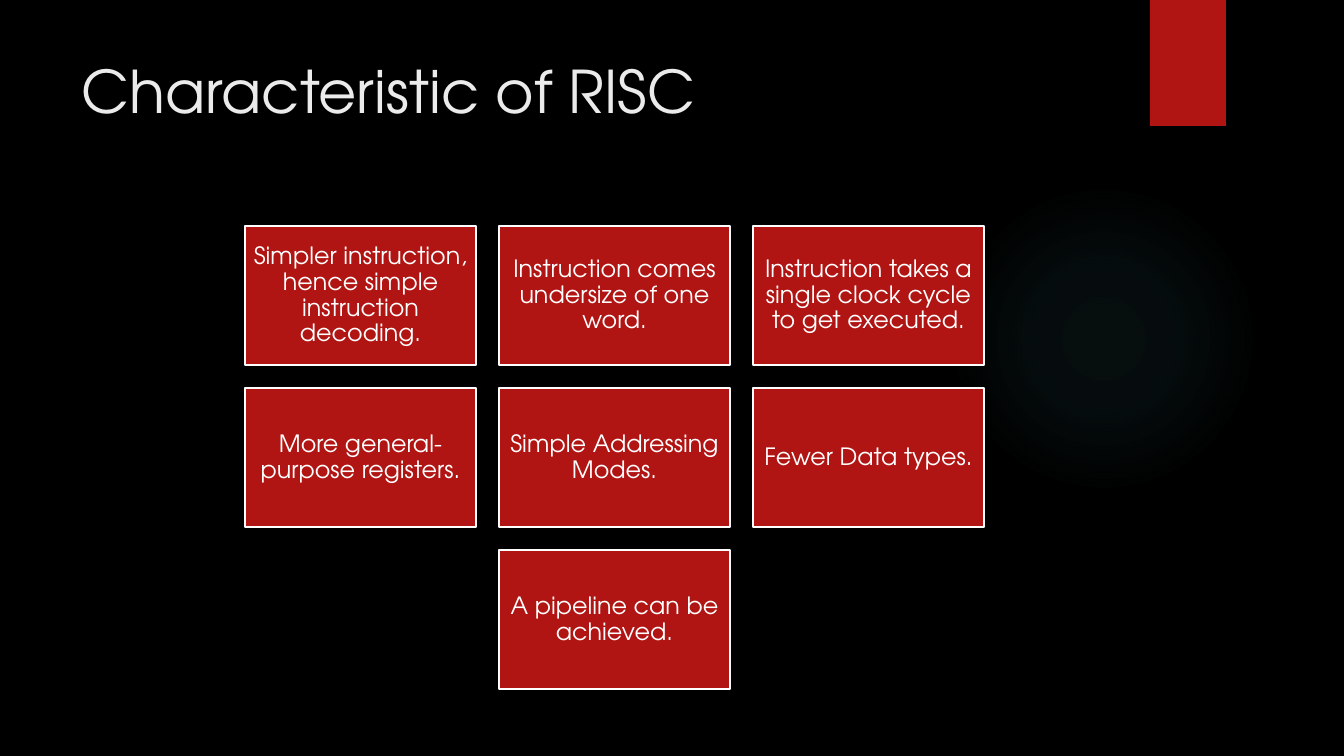
from lxml.etree import fromstring
from pptx import Presentation
from pptx.dml.color import RGBColor
from pptx.enum.shapes import MSO_SHAPE
from pptx.enum.text import MSO_ANCHOR, PP_ALIGN
from pptx.util import Pt

PX = 914400 / 100.8
THEME = {
    "font": "TeX Gyre Adventor",
    "background": RGBColor(0x00, 0x00, 0x00),
    "accent": RGBColor(0xB0, 0x15, 0x13),
    "title": RGBColor(0xEB, 0xEB, 0xEB),
    "white": RGBColor(0xFF, 0xFF, 0xFF),
    "glow": "50B9C1",
    "title_size": 42,
    "box_size": 17,
}
GLOW_STOPS = [(0, 7), (36, 6), (69, 0)]  # position and opacity in percent
TRAITS = [
    ["Simpler instruction, hence simple instruction decoding.",
     "Instruction comes undersize of one word.",
     "Instruction takes a single clock cycle to get executed."],
    ["More general-purpose registers.",
     "Simple Addressing Modes.",
     "Fewer Data types."],
    ["A pipeline can be achieved."],
]
COLUMNS = 3
GRID_LEFT, GRID_TOP = 245, 226
BOX_W, BOX_H = 231, 139
GAP = 23


def px(*lengths):
    return [round(n * PX) for n in lengths]


def write(sp, text, size, color, align=PP_ALIGN.LEFT, anchor=MSO_ANCHOR.TOP,
          spacing=1.0, inset=(10, 5)):
    """Fill a shape with one paragraph; inset is (sides, top and bottom) in px."""
    tf = sp.text_frame
    tf.word_wrap = True
    tf.vertical_anchor = anchor
    side, end = px(*inset)
    tf.margin_left = tf.margin_right = side
    tf.margin_top = tf.margin_bottom = end
    p = tf.paragraphs[0]
    p.alignment = align
    p.line_spacing = spacing
    r = p.add_run()
    r.text = text
    r.font.name = THEME["font"]
    r.font.size = Pt(size)
    r.font.color.rgb = color


prs = Presentation()
prs.slide_width, prs.slide_height = px(1344, 756)
slide = prs.slides.add_slide(prs.slide_layouts[6])
slide.background.fill.solid()
slide.background.fill.fore_color.rgb = THEME["background"]

# Soft round glow on the right
glow = slide.shapes.add_shape(MSO_SHAPE.OVAL, *px(949, 184, 310, 310))
glow.shadow.inherit = False
glow.line.fill.background()
stops = "".join(
    f'<a:gs pos="{pos * 1000}"><a:srgbClr val="{THEME["glow"]}">'
    f'<a:alpha val="{alpha * 1000}"/></a:srgbClr></a:gs>'
    for pos, alpha in GLOW_STOPS)
gradient = fromstring(
    '<a:gradFill xmlns:a="http://schemas.openxmlformats.org/drawingml/2006/main">'
    f'<a:gsLst>{stops}</a:gsLst><a:path path="circle">'
    '<a:fillToRect l="50000" t="50000" r="50000" b="50000"/></a:path></a:gradFill>')
glow._element.spPr.find("{*}prstGeom").addnext(gradient)

ribbon = slide.shapes.add_shape(MSO_SHAPE.RECTANGLE, *px(1150, 0, 76, 126))
ribbon.shadow.inherit = False
ribbon.fill.solid()
ribbon.fill.fore_color.rgb = THEME["accent"]
ribbon.line.fill.background()

title = slide.shapes.add_textbox(*px(72, 50, 1037, 154))
write(title, "Characteristic of RISC", THEME["title_size"], THEME["title"])

# Grid of traits; a short row is centred
for row, traits in enumerate(TRAITS):
    indent = (COLUMNS - len(traits)) * (BOX_W + GAP) // 2
    for col, trait in enumerate(traits):
        left = GRID_LEFT + indent + col * (BOX_W + GAP)
        top = GRID_TOP + row * (BOX_H + GAP)
        box = slide.shapes.add_shape(MSO_SHAPE.RECTANGLE, *px(left, top, BOX_W, BOX_H))
        box.shadow.inherit = False
        box.fill.solid()
        box.fill.fore_color.rgb = THEME["accent"]
        box.line.color.rgb = THEME["white"]
        box.line.width = Pt(1.5)
        write(box, trait, THEME["box_size"], THEME["white"], align=PP_ALIGN.CENTER,
              anchor=MSO_ANCHOR.MIDDLE, spacing=0.9, inset=(7, 7))

prs.save("out.pptx")
